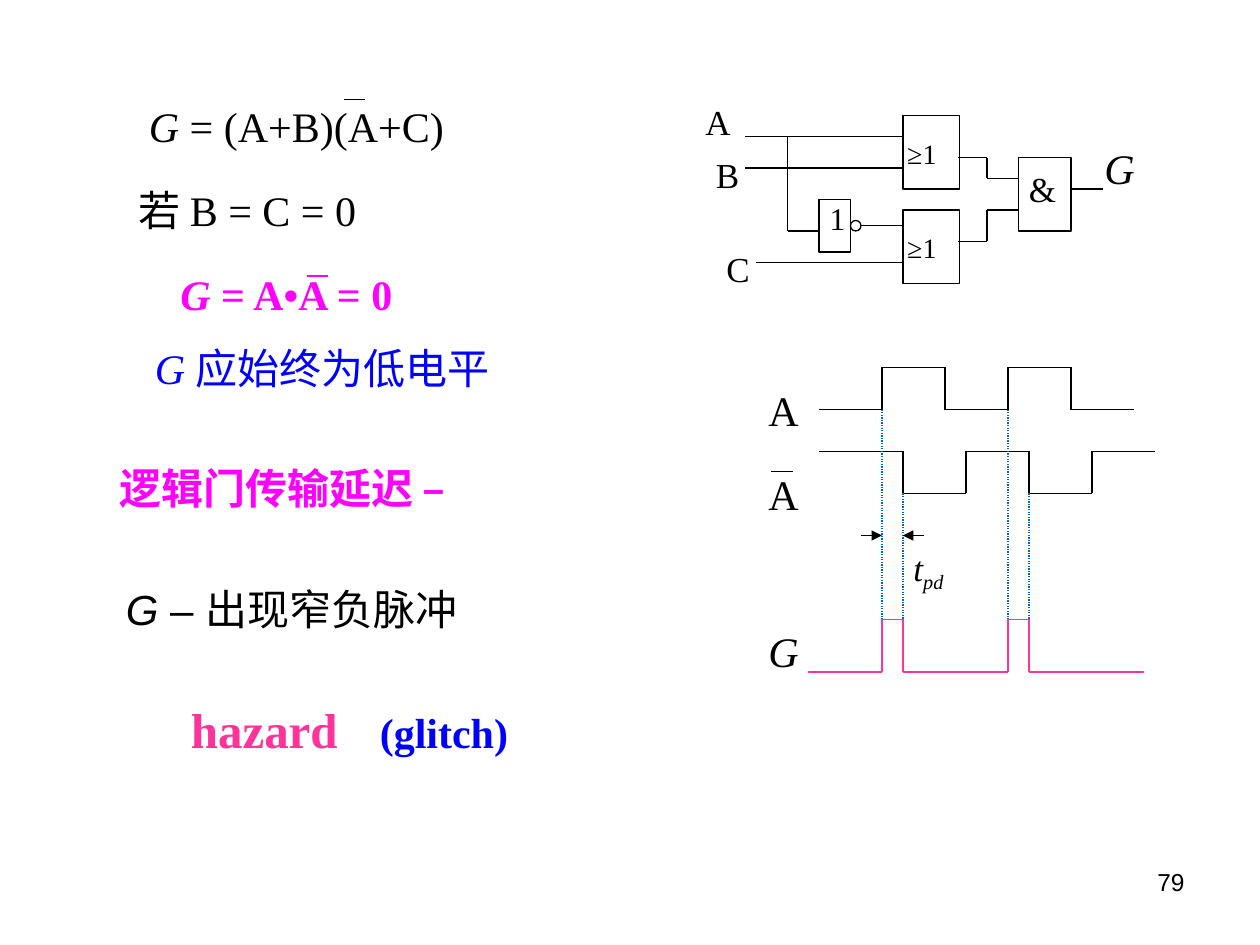
from dataclasses import dataclass

from pptx import Presentation
from pptx.dml.color import RGBColor
from pptx.enum.dml import MSO_LINE
from pptx.enum.shapes import MSO_CONNECTOR, MSO_SHAPE
from pptx.enum.text import MSO_ANCHOR, PP_ALIGN
from pptx.oxml.ns import qn
from pptx.util import Pt
from lxml.etree import SubElement


@dataclass(frozen=True)
class Theme:
    ink: str = "000000"
    paper: str = "FFFFFF"
    magenta: str = "FF00FF"
    blue: str = "0000FF"
    pink: str = "FF3399"
    guide: str = "0066CC"
    serif: str = "Times New Roman"
    sans: str = "Arial"
    big: int = 28
    body: int = 24
    label: int = 20
    inverter: int = 18
    gate: int = 16
    page: int = 14
    line: float = 0.75


T = Theme()
ITALIC = {"italic": True}
BOLD = {"bold": True}


# Text helpers
def fill_text(tf, runs, margins=None, **base):
    """Write (text, format) runs into the first paragraph of a frame."""
    tf.word_wrap = True
    tf.vertical_anchor = MSO_ANCHOR.TOP
    if margins:
        for side, value in zip(("left", "top", "right", "bottom"), margins):
            setattr(tf, f"margin_{side}", Pt(value))
    p = tf.paragraphs[0]
    p.alignment = PP_ALIGN.LEFT
    for text, extra in runs:
        r = p.add_run()
        r.text = text
        style = {"name": T.serif, "size": T.body, "color": T.ink, **base, **extra}
        r.font.color.rgb = RGBColor.from_string(style.pop("color"))
        style["size"] = Pt(style["size"])
        baseline = style.pop("baseline", None)
        if baseline:
            r._r.get_or_add_rPr().set("baseline", str(baseline))
        for key, value in style.items():
            setattr(r.font, key, value)
    return p


def add_text(s, x, y, w, h, runs, margins=None, **base):
    tf = s.shapes.add_textbox(Pt(x), Pt(y), Pt(w), Pt(h)).text_frame
    return fill_text(tf, runs, margins, **base)


def indent(p, left, tab=None):
    pPr = p._p.get_or_add_pPr()
    pPr.set("marL", str(Pt(left)))
    pPr.set("indent", "0")
    if tab:
        tabs = SubElement(pPr, qn("a:tabLst"))
        SubElement(tabs, qn("a:tab"), pos=str(Pt(tab)), algn="l")


# Line helpers
def add_path(s, x, y, points, color=T.ink, dash=None, arrow=False):
    """Join successive points, given relative to (x, y), with straight lines."""
    for (x1, y1), (x2, y2) in zip(points, points[1:]):
        c = s.shapes.add_connector(MSO_CONNECTOR.STRAIGHT, Pt(x + x1), Pt(y + y1),
                                   Pt(x + x2), Pt(y + y2))
        c.line.color.rgb = RGBColor.from_string(color)
        c.line.width = Pt(T.line)
        if dash:
            c.line.dash_style = dash
        if arrow:
            SubElement(c.line._get_or_add_ln(), qn("a:tailEnd"), type="triangle")
        SubElement(c._element.spPr, qn("a:effectLst"))


def wave_points(start, end, edges, first, second):
    """Corner points of a square wave that toggles at each edge."""
    points, level, other = [(start, first)], first, second
    for edge in edges:
        points += [(edge, level), (edge, other)]
        level, other = other, level
    return points + [(end, level)]


def add_gate(s, x, y, w, h, kind=MSO_SHAPE.RECTANGLE, text="", size=T.gate, inset=(0, 0)):
    sp = s.shapes.add_shape(kind, Pt(x), Pt(y), Pt(w), Pt(h))
    sp.shadow.inherit = False
    sp.fill.solid()
    sp.fill.fore_color.rgb = RGBColor.from_string(T.paper)
    sp.line.color.rgb = RGBColor.from_string(T.ink)
    sp.line.width = Pt(T.line)
    if text:
        fill_text(sp.text_frame, [(text, {})], (*inset, 0, 0), size=size)


# Left column: derivation and conclusions
def add_derivation(s, x, y):
    upright = {"italic": False}
    rows = [
        (24, 0, 187, [("G", ITALIC), (" = (A+B)(A+C)", {})], {}),
        (18, 48, 198, [("若 B = C = 0", {})], {}),
        (42, 96, 156, [("G", ITALIC), (" = A•A = 0", {})], {"color": T.magenta, **BOLD}),
        (27.4, 138, 216, [("G ", ITALIC), ("应始终为低电平", upright)], {"color": T.blue}),
        (10.8, 276, 204, [("G", ITALIC), (" – 出现窄负脉冲", upright)], {"name": T.sans}),
    ]
    for dx, dy, w, runs, base in rows:
        add_text(s, x + dx, y + dy, w, 36, runs, **base)

    p = add_text(s, x, y + 207, 223, 36, [("逻辑门传输延迟 –", {})], color=T.magenta, **BOLD)
    indent(p, 7)
    p = add_text(s, x + 42, y + 342, 252, 41,
                 [("hazard\t", {"size": T.big, "color": T.pink}),
                  ("(glitch)", {"color": T.blue})], **BOLD)
    indent(p, 6, tab=118)

    # Complement bars
    for dx, dy, color in ((142.6, 2.9, T.ink), (121.7, 103.7, T.magenta)):
        add_path(s, x, y, [(dx, dy), (dx + 12, dy)], color)


# Upper right: gate circuit
def add_circuit(s, x, y):
    for dy in (12, 66):
        add_gate(s, x + 120, y + dy, 32.4, 42, text="≥1", inset=(2.4, 12))
    add_gate(s, x + 186, y + 36, 30, 42, text="&", size=T.label, inset=(6, 6))
    add_gate(s, x + 72, y + 60, 18, 30, text="1", size=T.inverter, inset=(6, 0))
    add_gate(s, x + 90, y + 72, 6, 6, MSO_SHAPE.OVAL)

    wires = [
        [(30, 24), (120, 24)],
        [(30, 42), (120, 42)],
        [(36, 96), (120, 96)],
        [(54, 24), (54, 78), (72, 78)],
        [(96, 75), (120, 75)],
        [(151.2, 36), (168, 36), (168, 48), (186, 48)],
        [(151.2, 84), (168, 84), (168, 66), (186, 66)],
        [(216, 54), (234, 54)],
    ]
    for points in wires:
        add_path(s, x, y, points)

    for name, dx, dy in (("A", 0, 0), ("B", 6, 30), ("C", 12, 84)):
        add_text(s, x + dx, y + dy, 31, 31, [(name, {})], size=T.label)
    add_text(s, x + 228, y + 24, 25, 36, [("G", ITALIC)])


# Lower right: timing diagram
def add_timing(s, x, y):
    rises, delay = (72, 144), 12
    a_edges = [e for rise in rises for e in (rise, rise + 36)]
    late_edges = [e + delay for e in a_edges]
    pulses = [e for rise in rises for e in (rise, rise + delay)]
    add_path(s, x, y, wave_points(36, 216, a_edges, 24, 0))
    add_path(s, x, y, wave_points(36, 228, late_edges, 48, 72))

    # Delay guides
    for rise, bottom in zip(rises, (150, 144)):
        for dx, top in ((rise, 24), (rise + delay, 72)):
            add_path(s, x, y, [(dx, top), (dx, bottom)], T.guide, MSO_LINE.ROUND_DOT)
    add_path(s, x, y, wave_points(30, 222, pulses, 174, 144), T.pink)

    # Delay arrows and label
    for start, end in ((60, 72), (96, 84)):
        add_path(s, x, y, [(start, 96), (end, 96)], arrow=True)
    add_text(s, x + 90, y + 102, 25, 24, [("t", {}), ("pd", {"baseline": -25000})],
             (0, 0, 0, 0), size=T.label, **ITALIC)

    # Signal names
    for name, dy, style in (("A", 6, {}), ("A", 54, {}), ("G", 144, ITALIC)):
        add_text(s, x, y + dy, 37, 36, [(name, style)])
    add_path(s, x, y, [(8.6, 59.3), (20.9, 59.3)])


def add_page_number(s, x, y):
    p = add_text(s, x, y, 168, 37, [("79", {})], name=T.sans, size=T.page)
    p.alignment = PP_ALIGN.RIGHT


def main():
    prs = Presentation()
    prs.slide_width, prs.slide_height = Pt(720), Pt(540)
    s = prs.slides.add_slide(prs.slide_layouts[6])
    add_page_number(s, 516, 492)
    add_circuit(s, 396, 54)
    add_timing(s, 432, 210)
    add_derivation(s, 54, 54)
    prs.save("out.pptx")


if __name__ == "__main__":
    main()
